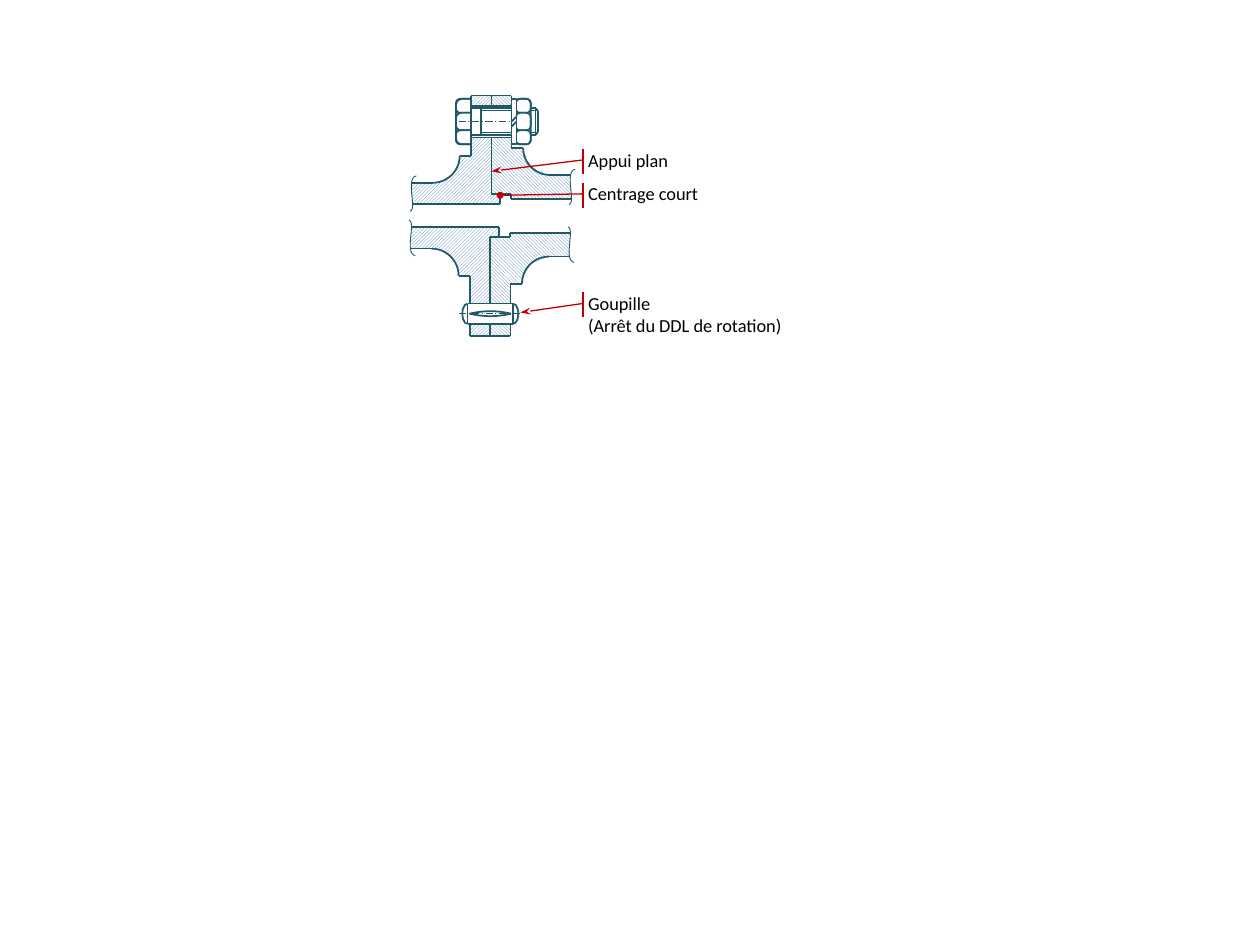
from itertools import pairwise
from lxml.etree import SubElement
from pptx import Presentation
from pptx.dml.color import RGBColor
from pptx.enum.dml import MSO_LINE, MSO_PATTERN
from pptx.enum.shapes import MSO_CONNECTOR, MSO_SHAPE
from pptx.enum.text import MSO_AUTO_SIZE
from pptx.oxml.ns import qn
from pptx.util import Pt

INK, RED, WHITE, HATCH = "215968", "C00000", "FFFFFF", "4F81BD"
UP = MSO_PATTERN.LIGHT_UPWARD_DIAGONAL
DOWN = MSO_PATTERN.LIGHT_DOWNWARD_DIAGONAL
RECT, ROUND, ARC = MSO_SHAPE.RECTANGLE, MSO_SHAPE.ROUNDED_RECTANGLE, MSO_SHAPE.ARC
CENTRE_DASH = MSO_LINE.LONG_DASH_DOT
rgb = RGBColor.from_string


def paint(sp, fill, color, width=1):
    sp.shadow.inherit = False
    if fill in (UP, DOWN):
        sp.fill.patterned()
        sp.fill.pattern = fill
        sp.fill.fore_color.rgb = rgb(HATCH)
        sp.fill.back_color.rgb = rgb(WHITE)
    elif fill:
        sp.fill.solid()
        sp.fill.fore_color.rgb = rgb(fill)
    else:
        sp.fill.background()
    if color:
        sp.line.color.rgb = rgb(color)
        sp.line.width = Pt(width)
    else:
        sp.line.fill.background()


def line(x1, y1, x2, y2, width=1, color=INK, dash=None, tail=None):
    c = s.shapes.add_connector(MSO_CONNECTOR.STRAIGHT, Pt(x1), Pt(y1), Pt(x2), Pt(y2))
    c.line.color.rgb = rgb(color)
    c.line.width = Pt(width)
    if dash:
        c.line.dash_style = dash
    if tail:
        SubElement(c.line._get_or_add_ln(), qn("a:tailEnd"), type=tail, w="sm", len="med" if tail == "stealth" else "sm")
    SubElement(c._element.spPr, qn("a:effectLst"))


prs = Presentation()
prs.slide_width, prs.slide_height = Pt(720), Pt(540)
s = prs.slides.add_slide(prs.slide_layouts[6])
add = s.shapes.add_shape

pipe_axis, joint = 123.3, 280.8
thick, pipe_reach, fillet_reach, fillet = 11.5, 45.4, 33.6, 15.5
spigot, rim = 12.3, 68.7
bolt_hole, bolt_gap = 53.8, 9.1
pin_hole, pin_radius, pin_reach = 56, 5.8, 13
pin_shift = -0.6
left, right = joint - thick, joint + thick
bolt_axis = pipe_axis - bolt_hole
pin_axis, pin_x = pipe_axis + pin_hole, joint + pin_shift

facet_heights = [8, 10, 8]
hex_height = sum(facet_heights)
hex_top = bolt_axis - hex_height / 2
for x, w in [(left - 8.7, 11.5), (right + 2.4, 8.6)]:
    facets = [(sum(facet_heights[:i]), h, WHITE) for i, h in enumerate(facet_heights)]
    for y, h, fill in facets + [(0, hex_height, None)]:
        sp = add(ROUND, Pt(x), Pt(hex_top + y), Pt(w), Pt(h))
        sp.adjustments[0] = 0.3
        paint(sp, fill, INK)

curves = []
sections = [
    (-1, joint, bolt_hole, bolt_gap, thick, (90, 180)),
    (1, pin_x, pin_hole, pin_radius, pin_reach, (0, 270)),
]
for side, mid, hole, gap, reach, turns in sections:
    seat, rim_base = hole - gap, hole + gap
    hole_y = pipe_axis + side * hole
    paint(add(RECT, Pt(mid - thick), Pt(hole_y - 14), Pt(thick), Pt(28)), WHITE, WHITE)

    flanges = [(-1, 6.6, 18.8, 5, UP, turns[0]), (1, 9.7, 23.3, 11.2, DOWN, turns[1])]
    for hand, inner, hub, step, hatch, turn in flanges:
        face, pipe_end = mid + hand * thick, mid + hand * pipe_reach
        fillet_x, shoulder = mid + hand * fillet_reach, hub + fillet
        outline = [
            (mid, seat), (mid, spigot), (mid + step, spigot), (mid + step, inner), (pipe_end, inner),
            (pipe_end, hub), (fillet_x, hub), (fillet_x - hand * 0.7 * fillet, hub + 0.3 * fillet),
            (fillet_x - hand * fillet, shoulder), (face, shoulder), (face, seat),
        ]
        outline = [(x, pipe_axis + side * r) for x, r in outline]
        pts = [(Pt(x), Pt(y)) for x, y in outline]
        fb = s.shapes.build_freeform(*pts[0])
        fb.add_line_segments(pts[1:])
        paint(fb.convert_to_shape(), hatch, None)

        arc_y = pipe_axis + side * shoulder
        sp = add(ARC, Pt(fillet_x - fillet), Pt(arc_y - fillet), Pt(2 * fillet), Pt(2 * fillet))
        sp.rotation = turn
        paint(sp, WHITE if hand < 0 else None, INK)

        bore_start = 0 if hand > 0 else 2
        for run in (outline[bore_start:5], outline[5:7], outline[8:]):
            for a, b in pairwise(run):
                line(*a, *b)

        rim_y = pipe_axis + min(side * rim, side * rim_base)
        rim_box = add(RECT, Pt(min(mid, face)), Pt(rim_y), Pt(thick), Pt(rim - rim_base))
        paint(rim_box, hatch, None)

        break_x, wall = pipe_end + 2.5, (inner + hub) / 2
        wave = [(0, 10.1), (-6.5, 8.7), (0.7, -9.3), (-3.6, -10.1)]
        curves.append((0.5, [(break_x + x, pipe_axis + side * (wall + r)) for x, r in wave]))

    for r, half in [(rim, thick), (rim_base, reach), (seat, reach)]:
        y = pipe_axis + side * r
        line(mid - half, y, mid + half, y)
    for x in (mid - thick, mid, mid + thick):
        line(x, pipe_axis + side * rim, x, pipe_axis + side * rim_base)

shank, thread = 7.6, 6.1
thread_start, chamfer_x, tip_x = joint - 5.8, right + 13.7, right + 15.1
nut_end = right + 10.8
line(left, bolt_axis - bolt_gap, left, bolt_axis + bolt_gap)
for up in (-1, 1):
    shank_y, thread_y = bolt_axis + up * shank, bolt_axis + up * thread
    line(left, shank_y, right, shank_y)
    line(thread_start, thread_y, right, thread_y, 0.5)
    line(nut_end, thread_y, tip_x, thread_y, 0.5)
    line(nut_end, shank_y, chamfer_x, shank_y)
    line(chamfer_x, shank_y, tip_x, thread_y)
for x, half in [(thread_start, shank), (chamfer_x, shank), (tip_x, thread)]:
    line(x, bolt_axis - half, x, bolt_axis + half)
line(left - 7.2, bolt_axis, right, bolt_axis, 0.5, dash=CENTRE_DASH)

washer = 2.9
paint(add(RECT, Pt(right), Pt(hex_top), Pt(washer), Pt(hex_height)), WHITE, INK)
for y in (bolt_axis, bolt_axis + washer):
    line(right, y, right + washer, y - washer)

for hand in (-1, 1):
    end_x = pin_x + hand * pin_reach
    line(end_x, pin_axis - pin_radius, end_x, pin_axis + pin_radius)
    sp = add(ARC, Pt(end_x - pin_radius), Pt(pin_axis - 3), Pt(2 * pin_radius), Pt(6))
    sp.adjustments[0] = 108
    sp.rotation = hand * 90
    paint(sp, None, INK)
    bulge = pin_axis + 1.9 * hand
    slot = [(-11.8, pin_axis), (-4, bulge), (4, bulge), (11.8, pin_axis)]
    curves.append((1, [(pin_x + x, y) for x, y in slot]))
line(pin_x - 18, pin_axis, pin_x + 17.2, pin_axis, 0.5, dash=CENTRE_DASH)

for width, controls in curves:
    pts = []
    for t in [i / 16 for i in range(17)]:
        weights = ((1 - t) ** 3, 3 * t * (1 - t) ** 2, 3 * t * t * (1 - t), t ** 3)
        pts.append([Pt(sum(k * v for k, v in zip(weights, axis))) for axis in zip(*controls)])
    fb = s.shapes.build_freeform(*pts[0])
    fb.add_line_segments(pts[1:], close=False)
    paint(fb.convert_to_shape(), None, INK, width)

label_x, bar = 333.2, 14.4
labels = [
    ("Appui plan", 81.4, 102.2, 20.2, (joint, 97.9), "stealth"),
    ("Centrage court", 100.8, 102.2, 20.2, (joint + 5, pipe_axis - spigot + 0.6), "oval"),
    ("Goupille\n(Arrêt du DDL de rotation)", 163.4, 140.4, 32.4, (pin_x + 17.2, pin_axis - 0.7), "stealth"),
]
for text, y, w, h, target, tail in labels:
    line(label_x, y + 10, *target, 0.75, RED, tail=tail)
    line(label_x, y + 3.6 + bar, label_x, y + 3.6, 0.75, RED)
    tf = s.shapes.add_textbox(Pt(label_x), Pt(y), Pt(w), Pt(h)).text_frame
    tf.word_wrap = True
    tf.auto_size = MSO_AUTO_SIZE.SHAPE_TO_FIT_TEXT
    tf.margin_left = Pt(2.9)
    tf.text = text
    for p in tf.paragraphs:
        r = p.runs[0]
        r.font.name, r.font.size = "Calibri", Pt(10.5)
        r.font.color.rgb = rgb("000000")

prs.save("out.pptx")
